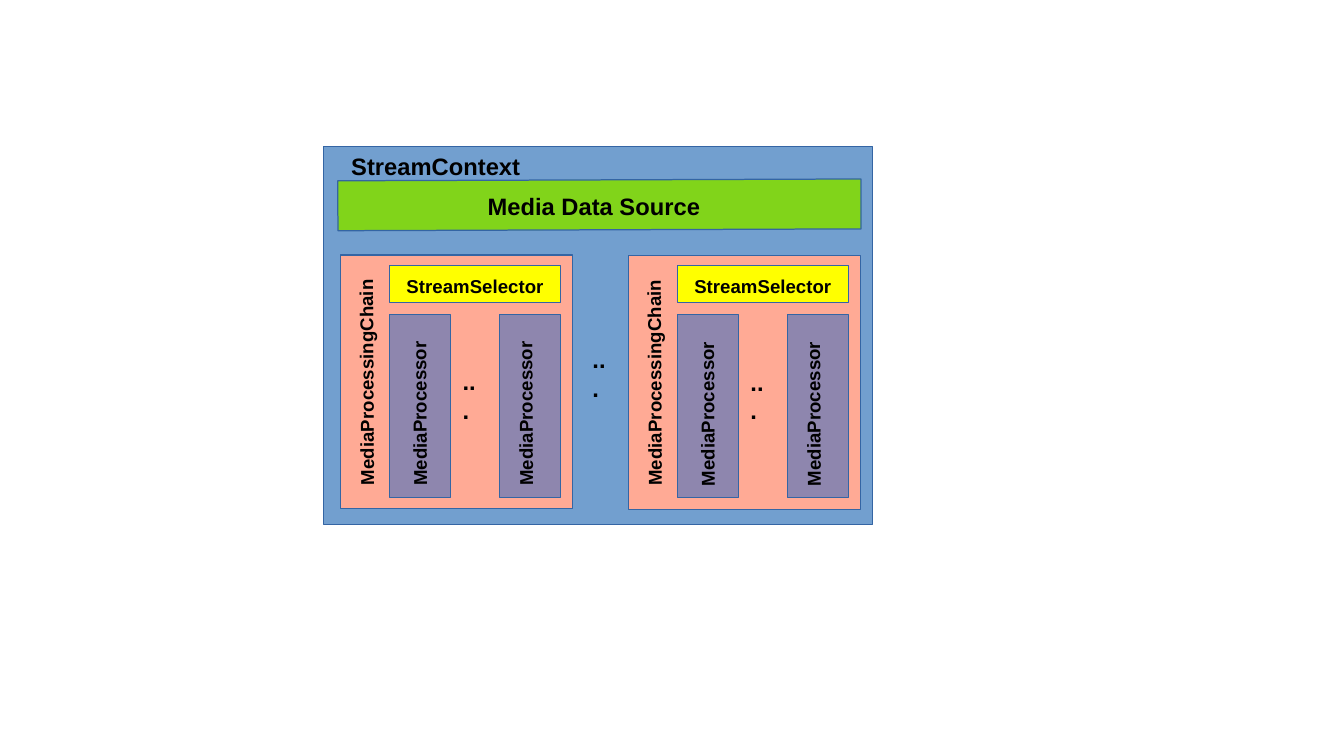
from dataclasses import dataclass
from pptx import Presentation
from pptx.dml.color import RGBColor
from pptx.enum.shapes import MSO_SHAPE
from pptx.enum.text import MSO_ANCHOR, MSO_AUTO_SIZE, PP_ALIGN
from pptx.util import Inches, Pt

RECT = MSO_SHAPE.RECTANGLE
TOP = MSO_ANCHOR.TOP
LEFT = PP_ALIGN.LEFT
FIXED = MSO_AUTO_SIZE.NONE


@dataclass(frozen=True)
class Theme:
    font: str = "Arial"
    ink: str = "000000"
    edge: str = "3465A4"
    frame: str = "729FCF"
    source: str = "81D41A"
    chain: str = "FFAA95"
    pick: str = "FFFF00"
    step: str = "8E86AE"
    large: int = 14
    small: int = 11


THEME = Theme()
CELL = Inches(0.1)
SIZE = (110.2, 62)
TILT = -0.2
TURN = 269.6

TITLE = ("StreamContext", (27.8, 11.95, 17, 3.2))
FRAME = (26.55, 12, 45, 31)
SOURCE = ("Media Data Source", (27.7, 14.75, 42.9, 4.1), (39, 15.2, 22, 3.2))
CHAIN = "MediaProcessingChain"
PICK = "StreamSelector"
STEP = "MediaProcessor"
MORE = "..."
CHAINS = [(27.95, 20.92), (51.55, 20.96)]
STEPS = [(4, 2.6), (13, 2.3)]
GAP = (47.6, 27.8)
DOTS = (3.4, 5.4)

deck = Presentation()
deck.slide_width, deck.slide_height = [int(n * CELL) for n in SIZE]
slide = deck.slides.add_slide(deck.slide_layouts[5])
shapes = slide.shapes


def scale(area):
    return [int(n * CELL) for n in area]


def block(area, fill, turn=0):
    shape = shapes.add_shape(RECT, *scale(area))
    shape.rotation = turn
    shape.shadow.inherit = False
    shape.fill.solid()
    shape.fill.fore_color.rgb = RGBColor.from_string(fill)
    shape.line.color.rgb = RGBColor.from_string(THEME.edge)
    shape.line.width = Pt(0)
    return shape


def style(box, text, size):
    frame = box.text_frame
    frame.text = text
    frame.word_wrap = True
    frame.auto_size = FIXED
    frame.vertical_anchor = TOP
    frame.margin_left = frame.margin_right = Inches(0.1)
    frame.margin_top = frame.margin_bottom = Inches(0.05)
    line = frame.paragraphs[0]
    line.alignment = LEFT
    font = line.runs[0].font
    font.name = THEME.font
    font.size = Pt(size)
    font.bold = True
    font.color.rgb = RGBColor.from_string(THEME.ink)


def label(text, area, size, turn=0):
    box = shapes.add_textbox(*scale(area))
    box.rotation = turn
    style(box, text, size)


def draw_chain(x, y):
    block((x, y, 19, 20.8), THEME.chain)
    block((x + 4, 21.8, 14, 3), THEME.pick)
    label(CHAIN, (x - 7.25, y + 8.75, 19, 3.2), THEME.small, TURN)
    label(PICK, (x + 4.4, y + 1.1, 14, 3.2), THEME.small)
    for left, shift in STEPS:
        block((x + left, 25.8, 5, 15), THEME.step)
        label(STEP, (x + left - 7 + shift, y + 11.3, 14, 3.2), THEME.small, TURN)
    label(MORE, (x + 9, y + 8.7, *DOTS), THEME.large)


back = block(FRAME, THEME.frame)
title = shapes.title
title.left, title.top, title.width, title.height = scale(TITLE[1])
style(title, TITLE[0], THEME.large)
back._element.addnext(title._element)

block(SOURCE[1], THEME.source, TILT)
label(SOURCE[0], SOURCE[2], THEME.large)
for x, y in CHAINS:
    draw_chain(x, y)
label(MORE, (*GAP, *DOTS), THEME.large)

deck.save("out.pptx")
